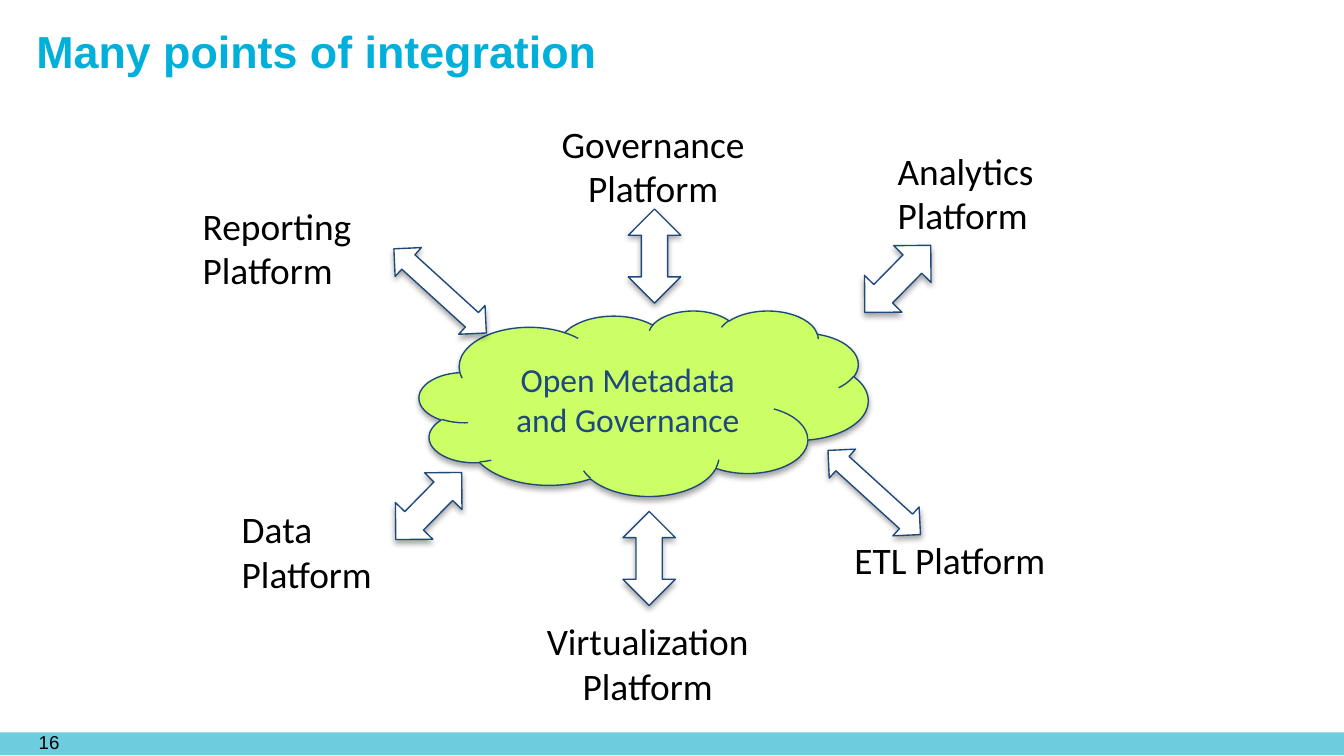
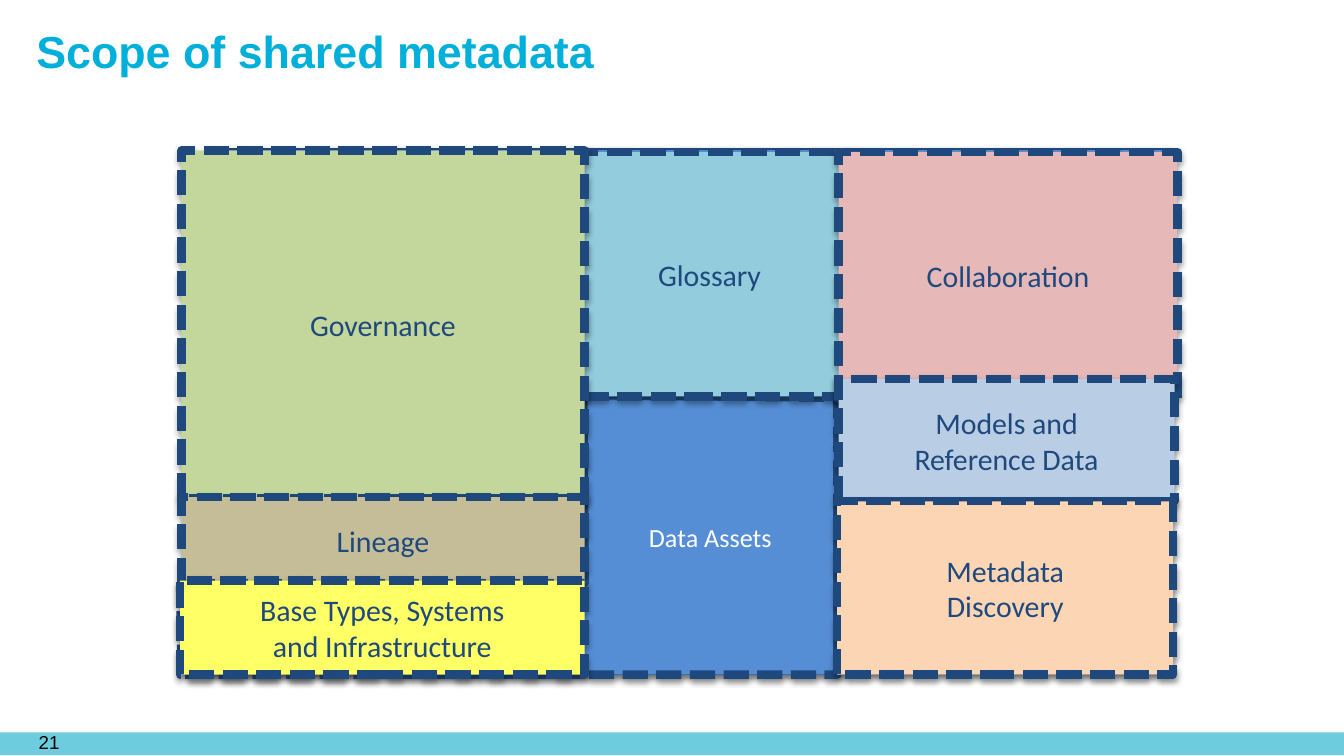
from dataclasses import dataclass

import pptx
import pptx.dml.color
import pptx.enum.dml
import pptx.enum.shapes
import pptx.enum.text
import pptx.oxml
import pptx.oxml.ns
import pptx.util

Inches = pptx.util.Inches
RGBColor = pptx.dml.color.RGBColor
Shape = pptx.enum.shapes.MSO_SHAPE
Align = pptx.enum.text.PP_ALIGN
Anchor = pptx.enum.text.MSO_ANCHOR

BLACK = RGBColor(0x00, 0x00, 0x00)
WHITE = RGBColor(0xFF, 0xFF, 0xFF)
TITLE_BLUE = RGBColor(0x00, 0xB0, 0xDA)
BAND_TEAL = RGBColor(0x6D, 0xCC, 0xDE)
NAVY = RGBColor(0x1F, 0x49, 0x7D)
LIME = RGBColor(0xCC, 0xFF, 0x66)
ASSET_BLUE = RGBColor(0x55, 0x8E, 0xD5)
AQUA = RGBColor(0x93, 0xCD, 0xDD)
PINK = RGBColor(0xE6, 0xB9, 0xB8)
GREEN = RGBColor(0xC3, 0xD6, 0x9B)
PALE_BLUE = RGBColor(0xB9, 0xCD, 0xE5)
PEACH = RGBColor(0xFC, 0xD5, 0xB5)
TAN = RGBColor(0xC4, 0xBD, 0x97)
YELLOW = RGBColor(0xFF, 0xFF, 0x66)

HEADING_FONT = "Arial"
BODY_FONT = "Calibri"
TITLE_ONLY = 5

SHADOW_XML = (
    f'<a:effectLst {pptx.oxml.ns.nsdecls("a")}>'
    '<a:outerShdw blurRad="40000" dist="23000" dir="5400000" rotWithShape="0">'
    '<a:srgbClr val="000000"><a:alpha val="35000"/></a:srgbClr>'
    '</a:outerShdw></a:effectLst>'
)


@dataclass
class Box:
    left: float
    top: float
    width: float
    height: float

    def inner(self, left, top, width, height):
        """Return a box whose offset is measured from this box's corner."""
        return Box(self.left + left, self.top + top, width, height)

    def lengths(self):
        return [Inches(n) for n in (self.left, self.top, self.width, self.height)]


TITLE_BOX = Box(0.17, 0.13, 9.59, 0.94)
BAND_BOX = Box(0, 5.45, 10, 0.17)
NUMBER_BOX = Box(0.19, 5.39, 0.6, 0.2)
PLATFORM_BOX = Box(1.41, 0.85, 7.31, 4.47)
SCOPE_BOX = Box(1.34, 1.11, 7.42, 3.91)


def write_text(shape, text, *, size, color=BLACK, font=BODY_FONT, bold=False,
               align=Align.LEFT, anchor=Anchor.TOP, wrap=True):
    """Fill a shape with text, one paragraph for each line."""
    frame = shape.text_frame
    frame.text = text
    frame.word_wrap = wrap
    frame.vertical_anchor = anchor
    for para in frame.paragraphs:
        para.alignment = align
        para.font.size = pptx.util.Pt(size)
        para.font.name = font
        para.font.bold = bold
        para.font.color.rgb = color


def add_label(page, box, text, **style):
    write_text(page.shapes.add_textbox(*box.lengths()), text, **style)


def paint(shape, fill, line_width=0.75, dashed=False):
    """Give a diagram shape its fill, navy outline and soft shadow."""
    shape.fill.solid()
    shape.fill.fore_color.rgb = fill
    shape.line.color.rgb = NAVY
    shape.line.width = pptx.util.Pt(line_width)
    if dashed:
        shape.line.dash_style = pptx.enum.dml.MSO_LINE.SQUARE_DOT
    shape.shadow.inherit = False
    effects = shape._element.spPr.find(pptx.oxml.ns.qn("a:effectLst"))
    effects.getparent().replace(effects, pptx.oxml.parse_xml(SHADOW_XML))


def add_painted(page, kind, box, fill, **outline):
    shape = page.shapes.add_shape(kind, *box.lengths())
    paint(shape, fill, **outline)
    return shape


def add_page(deck, title, number):
    """Add a slide with the shared band, slide number and title."""
    page = deck.slides.add_slide(deck.slide_layouts[TITLE_ONLY])
    band = page.shapes.add_shape(Shape.RECTANGLE, *BAND_BOX.lengths())
    band.fill.solid()
    band.fill.fore_color.rgb = BAND_TEAL
    band.line.fill.background()
    band.shadow.inherit = False
    add_label(page, NUMBER_BOX, str(number), size=10, font=HEADING_FONT)
    heading = page.shapes.title
    heading.left, heading.top, heading.width, heading.height = TITLE_BOX.lengths()
    write_text(heading, title, size=24, color=TITLE_BLUE, font=HEADING_FONT, bold=True)
    heading.text_frame.auto_size = pptx.enum.text.MSO_AUTO_SIZE.NONE
    return page


def draw_platforms(page, box):
    """Draw the metadata cloud with arrows to the platforms around it."""
    cloud = add_painted(page, Shape.CLOUD, box.inner(1.71, 1.46, 3.34, 1.38), LIME)
    write_text(cloud, "Open Metadata and Governance", size=18, color=NAVY,
               align=Align.CENTER, anchor=Anchor.MIDDLE)

    slim, wide = (0.93, 0.29), (0.7, 0.39)
    arrows = [
        (1.4, 1.17, slim, 42.3),
        (4.63, 2.67, slim, 42.3),
        (4.92, 1.03, wide, 314.5),
        (1.43, 2.72, wide, 314.5),
        (3.11, 0.86, wide, 270),
        (3.07, 3.11, wide, 270),
    ]
    for left, top, size, angle in arrows:
        arrow = add_painted(page, Shape.LEFT_RIGHT_ARROW, box.inner(left, top, *size), WHITE)
        arrow.rotation = angle

    platforms = [
        ("Reporting", 0, 0.61, 2.14, 0.77, Align.LEFT),
        ("ETL", 4.85, 3.1, 2.14, 0.44, Align.LEFT),
        ("Analytics", 5.17, 0.2, 2.14, 0.77, Align.LEFT),
        ("Virtualization", 2.34, 3.7, 2.14, 0.77, Align.CENTER),
        ("Governance", 2.38, 0, 2.14, 0.77, Align.CENTER),
        ("Data", 0.29, 2.87, 1.55, 0.77, Align.LEFT),
    ]
    for name, *place, align in platforms:
        add_label(page, box.inner(*place), f"{name} Platform", size=20, align=align)


def draw_asset_area(page, box):
    """Draw the L-shaped data asset area behind the tiles."""
    corners = [(3.01, 3.23), (3, 1.83), (4.89, 1.85), (4.89, 3.91), (0.01, 3.91), (0, 3.25)]
    points = [(Inches(box.left + x), Inches(box.top + y)) for x, y in corners]
    outline = page.shapes.build_freeform(*points[0])
    outline.add_line_segments(points[1:], close=True)
    paint(outline.convert_to_shape(), ASSET_BLUE, line_width=4.5, dashed=True)


def draw_scope(page, box):
    """Draw the adjoining areas of shared metadata."""
    add_painted(page, Shape.RECTANGLE, box.inner(0.22, 0, 7.15, 3.91), ASSET_BLUE)
    draw_asset_area(page, box)
    tiles = [
        ("Glossary", AQUA, 2.84, 0.02, 2.2, 1.82),
        ("Collaboration", PINK, 4.9, 0.02, 2.52, 1.84),
        ("Governance", GREEN, 0.01, 0.01, 3, 2.59),
        ("Models and\nReference Data", PALE_BLUE, 4.9, 1.71, 2.5, 0.91),
        ("Metadata\nDiscovery", PEACH, 4.89, 2.62, 2.5, 1.29),
        ("Lineage", TAN, 0.01, 2.59, 3, 0.64),
        ("Base Types, Systems\nand Infrastructure", YELLOW, 0, 3.21, 3.01, 0.7),
    ]
    for text, fill, *place in tiles:
        tile = add_painted(page, Shape.RECTANGLE, box.inner(*place), fill,
                           line_width=4.5, dashed=True)
        write_text(tile, text, size=16, color=NAVY, align=Align.CENTER, anchor=Anchor.MIDDLE)
    add_label(page, box.inner(3.39, 2.72, 1.13, 0.34), "Data Assets",
              size=14, color=WHITE, wrap=False)


def main():
    deck = pptx.Presentation()
    deck.slide_width = Inches(10)
    deck.slide_height = deck.slide_width * 9 // 16
    draw_platforms(add_page(deck, "Many points of integration", 16), PLATFORM_BOX)
    draw_scope(add_page(deck, "Scope of shared metadata", 21), SCOPE_BOX)
    deck.save("out.pptx")


if __name__ == "__main__":
    main()
